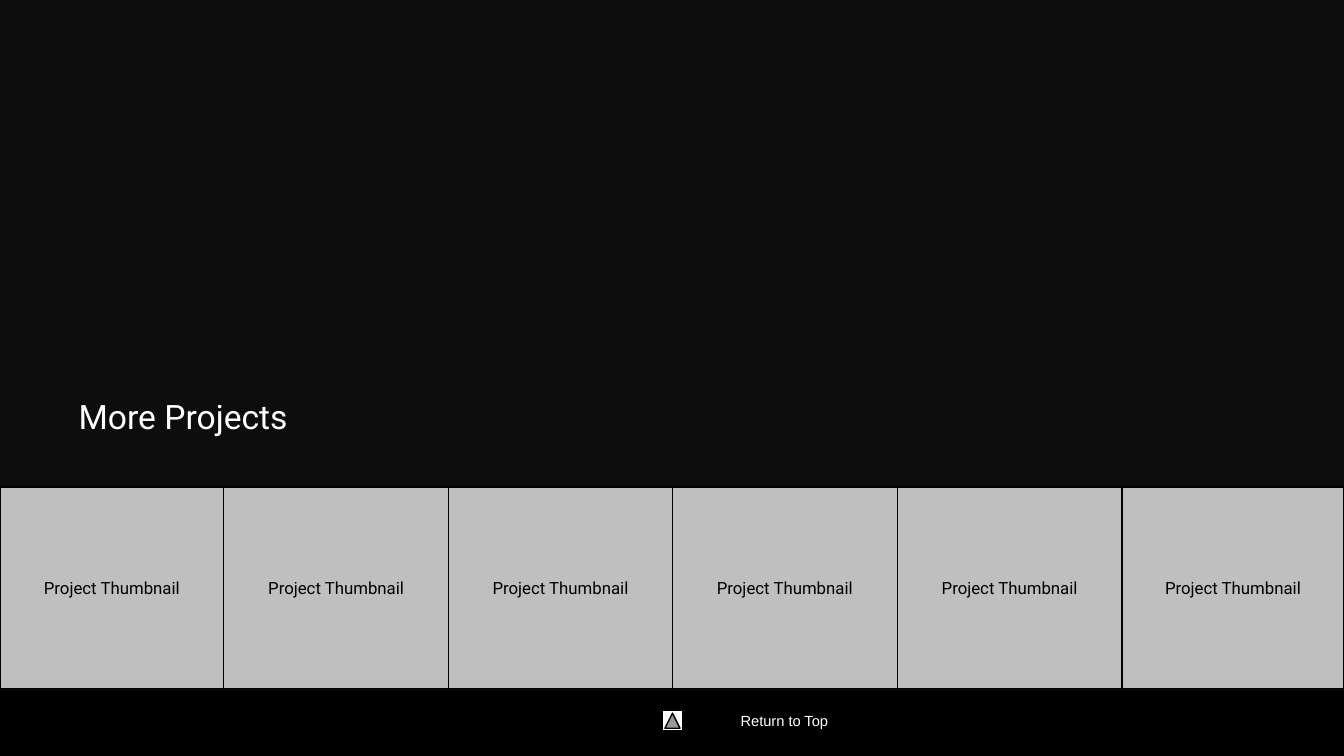
import itertools

import pptx
import pptx.util
import pptx.dml.color
import pptx.enum.shapes
import pptx.enum.text

# Content
TITLE = "More Projects"
THUMB = "Project Thumbnail"
BACK = "Return to Top"
EDGES = [0, 2.22, 4.45, 6.67, 8.9, 11.13, 13.33]
COLORS = {"back": "262626", "dark": "0D0D0D", "black": "000000",
          "white": "FFFFFF", "tile": "BFBFBF"}

# Layout
WIDE, HIGH = 13.33, 7.5
TOP, TALL = 4.83, 2

Inches = pptx.util.Inches
Kind = pptx.enum.shapes.MSO_SHAPE
Align = pptx.enum.text.PP_ALIGN
Anchor = pptx.enum.text.MSO_ANCHOR


def color(name):
    return pptx.dml.color.RGBColor.from_string(COLORS[name])


def write(frame, text, size, font, ink, align):
    frame.word_wrap = True
    para = frame.paragraphs[0]
    para.alignment = align
    run = para.add_run()
    run.text = text
    run.font.size = pptx.util.Pt(size)
    run.font.name = font
    run.font.color.rgb = color(ink)


def block(box, fill, line=None, kind=Kind.RECTANGLE):
    shape = slide.shapes.add_shape(kind, *map(Inches, box))
    shape.shadow.inherit = False
    shape.fill.solid()
    shape.fill.fore_color.rgb = color(fill)
    if line:
        shape.line.color.rgb = color(line)
        shape.line.width = pptx.util.Pt(1)
    else:
        shape.line.fill.background()
    return shape


def label(shape, text, size, font, ink):
    shape.text_frame.vertical_anchor = Anchor.MIDDLE
    write(shape.text_frame, text, size, font, ink, Align.CENTER)


deck = pptx.Presentation()
deck.slide_width, deck.slide_height = Inches(WIDE), Inches(HIGH)
slide = deck.slides.add_slide(deck.slide_layouts[5])
slide.background.fill.solid()
slide.background.fill.fore_color.rgb = color("back")

# Bands
block((0, 0, WIDE, TOP), "dark")
block((0, 6.84, WIDE, 0.7), "black")

# Thumbnails
for left, right in itertools.pairwise(EDGES):
    tile = block((left, TOP, right - left, TALL), "tile", "black")
    label(tile, THUMB, 12, "Roboto", "black")

# Return button
arrow = block((6.57, 7.05, 0.2, 0.2), "white", "black",
              Kind.ACTION_BUTTON_FORWARD_OR_NEXT)
arrow.rotation = 270
label(block((6.94, 6.93, 1.68, 0.44), "black"), BACK, 10.5, "Arial", "white")

# Title, brought in front of the dark band
title = slide.shapes.title
title.left, title.top, title.width, title.height = map(
    Inches, (0.68, 3.88, 5.86, 0.5))
title.text_frame.vertical_anchor = Anchor.TOP
title.text_frame.auto_size = pptx.enum.text.MSO_AUTO_SIZE.SHAPE_TO_FIT_TEXT
write(title.text_frame, TITLE, 24, "Roboto", "white", Align.LEFT)
title.element.getparent().append(title.element)

deck.save("out.pptx")
